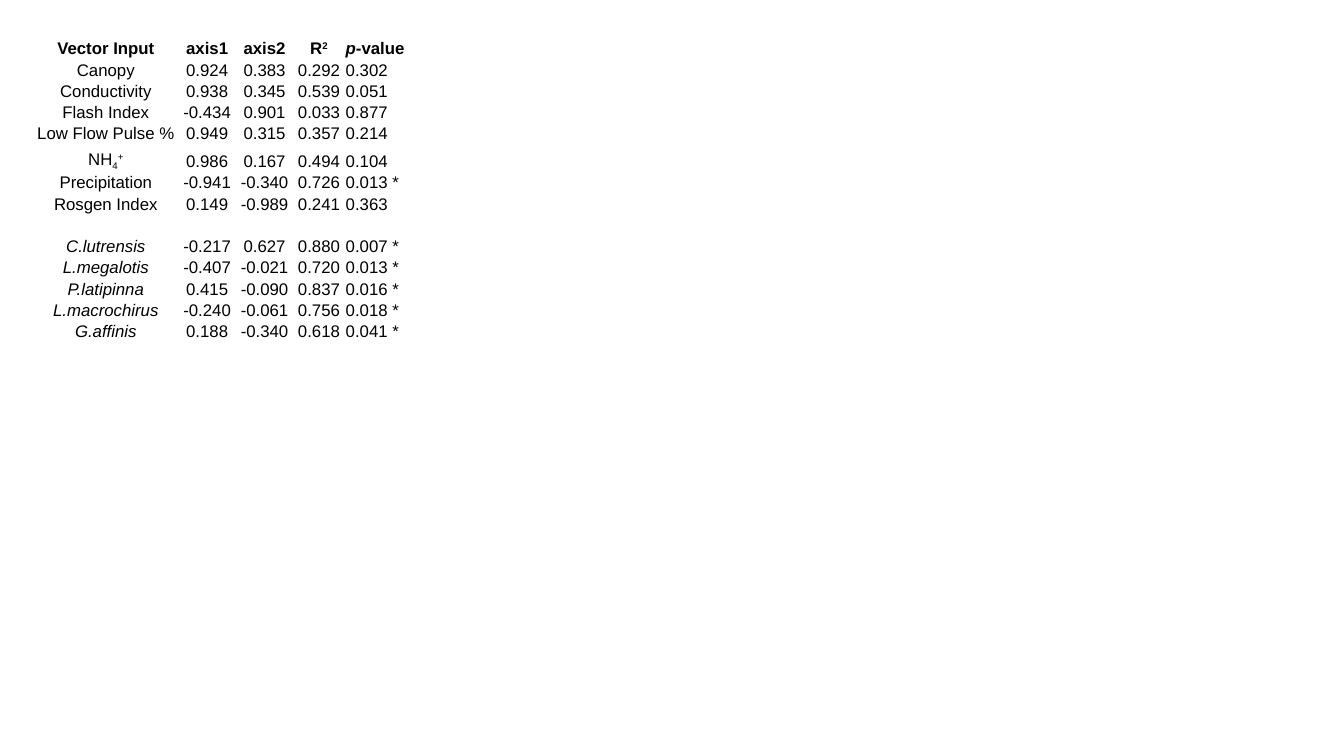
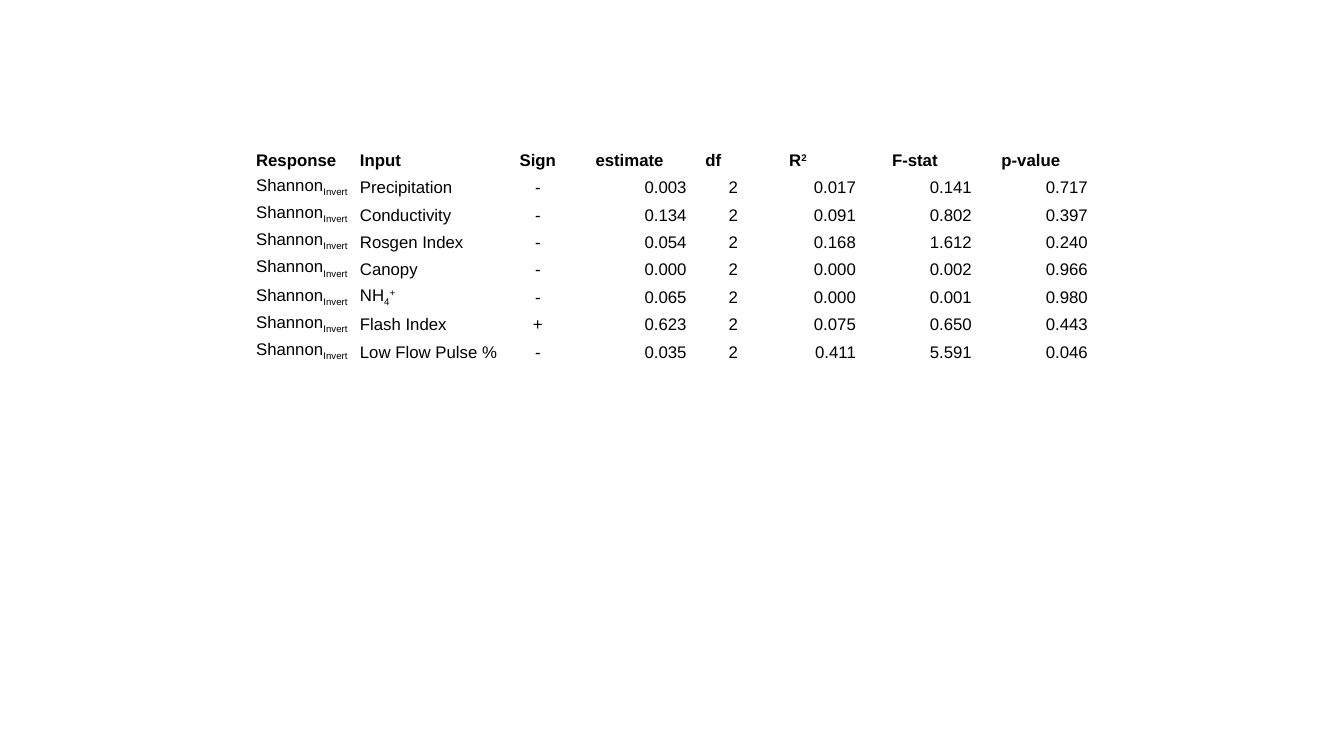
"""Build two slides of statistics tables for stream vectors and diversity."""
from lxml.etree import SubElement
from pptx import Presentation
from pptx.dml.color import RGBColor
from pptx.enum.text import MSO_ANCHOR as ANCHOR, PP_ALIGN as ALIGN
from pptx.oxml.ns import qn
from pptx.util import Pt

PX = 9144
FONT = "Arial"
SIZE = 12
BLACK = RGBColor(0, 0, 0)
PLAIN_TABLE = "{2D5ABB26-0587-4C30-8999-92F81FD0307C}"
BASELINES = {"sup": "30000", "sub": "-25000"}
ALIGNS = {"l": ALIGN.LEFT, "c": ALIGN.CENTER, "r": ALIGN.RIGHT}

R2 = [("R", ""), ("2", "sup")]
NH4 = [("NH", ""), ("4", "sub"), ("+", "sup")]
SHANNON = [("Shannon", ""), ("Invert", "sub")]
P_VALUE = [("p", "italic"), ("-value", "")]

VECTOR_HEAD = ["Vector Input", "axis1", "axis2", R2, P_VALUE]
HABITAT = [
    ["Canopy", "0.924", "0.383", "0.292", "0.302"],
    ["Conductivity", "0.938", "0.345", "0.539", "0.051"],
    ["Flash Index", "-0.434", "0.901", "0.033", "0.877"],
    ["Low Flow Pulse %", "0.949", "0.315", "0.357", "0.214"],
    [NH4, "0.986", "0.167", "0.494", "0.104"],
    ["Precipitation", "-0.941", "-0.340", "0.726", "0.013 *"],
    ["Rosgen Index", "0.149", "-0.989", "0.241", "0.363"],
]
SPECIES = [
    ["C.lutrensis", "-0.217", "0.627", "0.880", "0.007 *"],
    ["L.megalotis", "-0.407", "-0.021", "0.720", "0.013 *"],
    ["P.latipinna", "0.415", "-0.090", "0.837", "0.016 *"],
    ["L.macrochirus", "-0.240", "-0.061", "0.756", "0.018 *"],
    ["G.affinis", "0.188", "-0.340", "0.618", "0.041 *"],
]
MODEL_HEAD = ["Response", "Input", "Sign", "estimate", "df", R2, "F-stat", "p-value"]
MODELS = [
    ["Precipitation", "-", "0.003", "2", "0.017", "0.141", "0.717"],
    ["Conductivity", "-", "0.134", "2", "0.091", "0.802", "0.397"],
    ["Rosgen Index", "-", "0.054", "2", "0.168", "1.612", "0.240"],
    ["Canopy", "-", "0.000", "2", "0.000", "0.002", "0.966"],
    [NH4, "-", "0.065", "2", "0.000", "0.001", "0.980"],
    ["Flash Index", "+", "0.623", "2", "0.075", "0.650", "0.443"],
    ["Low Flow Pulse %", "-", "0.035", "2", "0.411", "5.591", "0.046"],
]


def add_run(p, text, style, bold):
    r = p.add_run()
    r.text = text
    r.font.name = FONT
    r.font.size = Pt(SIZE)
    r.font.color.rgb = BLACK
    r.font.bold = bold
    r.font.italic = style == "italic"
    if style in BASELINES:
        r._r.get_or_add_rPr().set("baseline", BASELINES[style])


def fill_cell(cell, content, align, bold):
    cell.fill.background()
    cell.vertical_anchor = ANCHOR.BOTTOM
    cell.margin_left = cell.margin_right = cell.margin_top = PX
    cell.margin_bottom = 0
    p = cell.text_frame.paragraphs[0]
    p.alignment = ALIGNS[align]
    runs = [(content, "")] if isinstance(content, str) else content
    for text, style in runs:
        add_run(p, text, style, bold)
    if not runs:
        SubElement(p._p, qn("a:endParaRPr"), sz=str(SIZE * 100))


def add_stats_table(prs, left, top, widths, heights, rows, head_aligns, body_aligns):
    slide = prs.slides.add_slide(prs.slide_layouts[6])
    frame = slide.shapes.add_table(
        len(rows), len(widths), left * PX, top * PX, sum(widths) * PX, sum(heights) * PX)
    table = frame.table
    table.first_row = table.horz_banding = False
    table._tbl.tblPr.find(qn("a:tableStyleId")).text = PLAIN_TABLE
    for column, width in zip(table.columns, widths):
        column.width = width * PX
    for i, (row, height) in enumerate(zip(rows, heights)):
        table.rows[i].height = height * PX
        aligns = body_aligns if i else head_aligns
        for j, (content, align) in enumerate(zip(row, aligns)):
            fill_cell(table.cell(i, j), content, align, bold=i == 0)


def add_vector_slide(prs):
    species = [[[(name, "italic")], *values] for name, *values in SPECIES]
    gap = [[] for _ in VECTOR_HEAD]
    rows = [VECTOR_HEAD, *HABITAT, gap, *species]
    heights = [26] + [28 if row[0] is NH4 else 21 for row in rows[1:]]
    add_stats_table(prs, 33, 32, [144, 57, 57, 51, 70], heights, rows, "ccccl", "ccccl")


def add_model_slide(prs):
    rows = [MODEL_HEAD] + [[SHANNON, *row] for row in MODELS]
    heights = [26] + [28 if row[1] is NH4 else 27 for row in rows[1:]]
    widths = [103, 144, 67, 115, 51, 117, 115, 115]
    add_stats_table(prs, 253, 143, widths, heights, rows, "llcccccc", "llcrrrrr")


def main():
    prs = Presentation()
    prs.slide_width, prs.slide_height = 1333 * PX, 750 * PX
    add_vector_slide(prs)
    add_model_slide(prs)
    prs.save("out.pptx")


if __name__ == "__main__":
    main()
